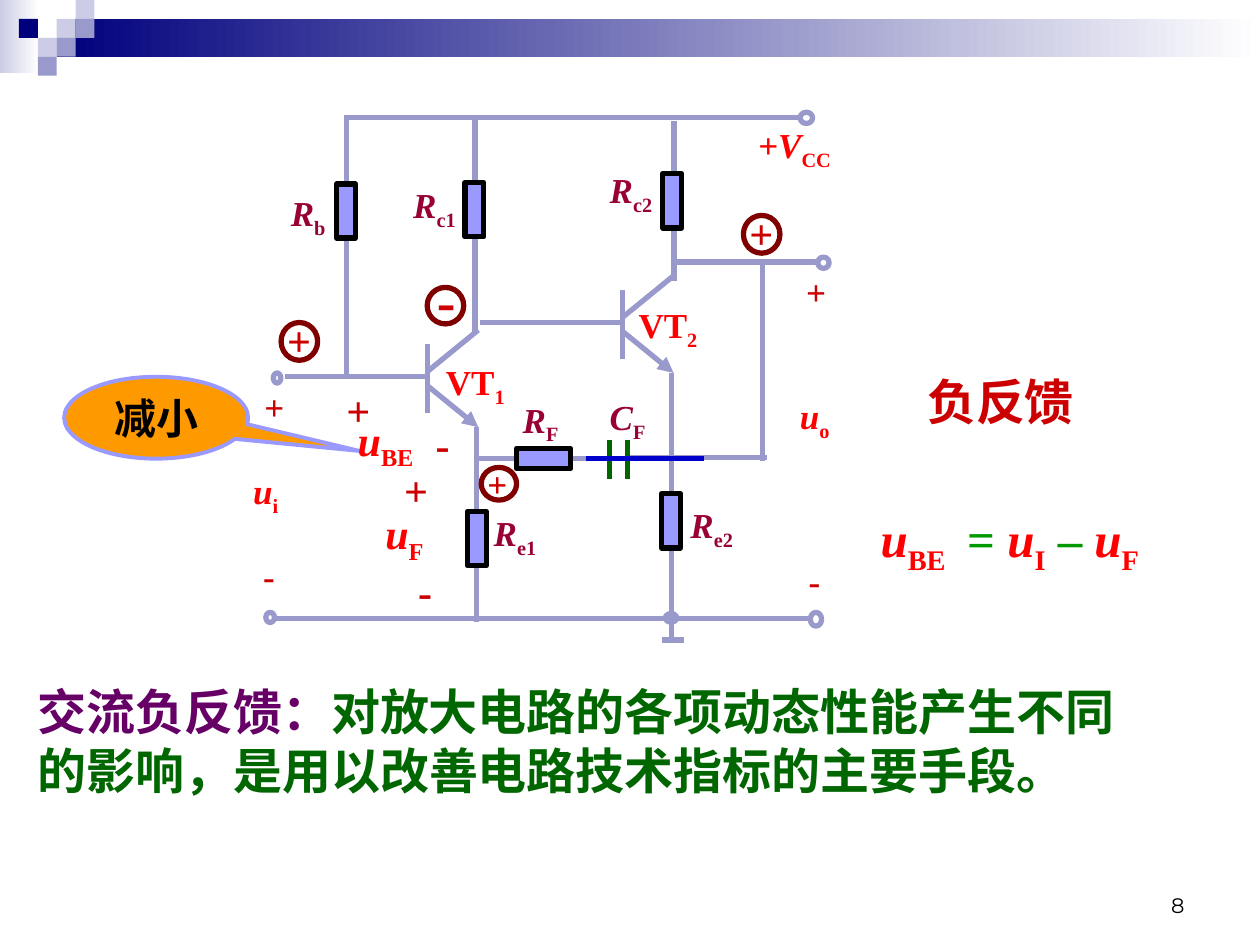
from dataclasses import dataclass
from typing import NamedTuple

from lxml import etree
from pptx import Presentation
from pptx.dml.color import RGBColor
from pptx.enum import shapes as kinds, text as texts
from pptx.oxml.ns import qn
from pptx.util import Pt


@dataclass(frozen=True)
class Theme:
    navy: str = "00007D"
    lavender: str = "CCCCE6"
    wire: str = "9999CC"
    violet: str = "9999FF"
    white: str = "FFFFFF"
    black: str = "000000"
    red: str = "FF0000"
    sign: str = "CC0000"
    ring: str = "800000"
    crimson: str = "990033"
    plate: str = "006600"
    equals: str = "009900"
    purple: str = "660066"
    orange: str = "FF9900"
    blue: str = "0000CC"
    font: str = "Times New Roman"
    number_font: str = "Montserrat"
    tiny: int = 12
    small: int = 20
    medium: int = 24
    large: int = 28
    huge: int = 32
    stroke: float = 3


THEME = Theme()


class Run(NamedTuple):
    text: str
    color: str
    italic: bool = False
    subscript: bool = False


class Box(NamedTuple):
    left: float
    top: float
    width: float
    height: float


class Wire(NamedTuple):
    x1: float
    y1: float
    x2: float
    y2: float
    color: str = THEME.wire
    arrow: bool = False


class Label(NamedTuple):
    left: float
    top: float
    width: float
    runs: list[Run]
    size: int = THEME.small
    lines: int = 1


def symbol(name: str, index: str, color: str = THEME.red, italic: bool = True) -> list[Run]:
    return [Run(name, color, italic), Run(index, color, subscript=True)]


def component(name: str, index: str) -> list[Run]:
    return symbol(name, index, THEME.crimson)


PLUS = [Run("+", THEME.sign)]
MINUS = [Run("-", THEME.sign)]

HEADER_BLOCKS = [  # column, row, colour
    (1, 1, THEME.lavender), (2, 0, THEME.lavender), (2, 1, THEME.wire),
    (0, 2, THEME.lavender), (-1, 1, THEME.navy), (1, 2, THEME.wire), (0, 3, THEME.wire),
]
WIRES = [
    Wire(383.8, 213.1, 383.8, 367.2), Wire(272.2, 244.1, 272.2, 355.7),
    Wire(347.8, 262.1, 271.4, 262.1), Wire(385.2, 160.6, 385.2, 69.1),
    Wire(271.4, 190.8, 271.4, 67), Wire(438.5, 261.4, 358.6, 261.4),
    Wire(435.6, 150.5, 435.6, 263.5), Wire(468.7, 149.8, 385.2, 149.8),
    Wire(157.7, 353.5, 463, 353.5), Wire(457.2, 67, 196.6, 67),
    Wire(198, 216, 198, 67), Wire(378, 365.8, 391, 365.8),
]
PLATES = [Wire(x, 251.3, x, 273.6, THEME.plate) for x in (348.5, 358.6)]
TRANSISTORS = [(244.1, 196.6), (355.7, 165.6)]
UPRIGHT_RESISTORS = [(367.9, 292.3), (255.6, 114.5), (368.6, 109.4), (257, 302.4), (182.2, 115.2)]
TERMINALS = [
    Box(463, 349.9, 6.5, 7.9), Box(457.2, 64.1, 7.2, 6.5), Box(467.3, 146.9, 6.5, 6.5),
    Box(156.2, 213.1, 4.3, 5.8), Box(151.9, 349.9, 5, 5.8),
]
RINGS = [
    Box(160.6, 184.3, 20.9, 21.6), Box(244.1, 164.2, 20.9, 20.9),
    Box(424.8, 123.1, 20.9, 21.6), Box(275, 267.1, 20.2, 18.7),
]
LABELS = [
    Label(247.7, 202.3, 51.1, symbol("VT", "1", italic=False)),
    Label(357.8, 169.9, 58.3, symbol("VT", "2", italic=False)),
    Label(341.3, 92.9, 46.1, component("R", "c2")),
    Label(229, 101.5, 44.6, component("R", "c1")),
    Label(387.4, 284.4, 44.6, component("R", "e2")),
    Label(275, 288.7, 42.5, component("R", "e1")),
    Label(291.6, 223.9, 41, component("R", "F")),
    Label(341.3, 222.5, 38.2, component("C", "F")),
    Label(159.1, 105.8, 40.3, component("R", "b")),
    Label(426.2, 67, 64.1, symbol("+V", "CC")),
    Label(450, 221.8, 37.4, symbol("u", "o")),
    Label(137.5, 265, 37.4, symbol("u", "i")),
    Label(453.6, 151.2, 29.5, PLUS),
    Label(455, 316.1, 28.1, MINUS),
    Label(144, 216.7, 25.9, PLUS),
    Label(143.3, 313.2, 19.4, MINUS),
    Label(223.9, 262.1, 49, PLUS, THEME.medium),
    Label(231.8, 319.7, 49, MINUS, THEME.medium),
    Label(213.1, 286.6, 67, symbol("u", "F"), THEME.medium),
    Label(190.8, 216, 36.7, PLUS, THEME.medium),
    Label(241.9, 235.4, 36.7, MINUS, THEME.medium),
    Label(197.3, 233.3, 63.4, symbol("u", "BE"), THEME.medium),
    Label(157, 176.4, 25.9, PLUS, THEME.medium),
    Label(242.6, 148.3, 23.8, MINUS, THEME.huge),
    Label(421.2, 115.2, 25.9, PLUS, THEME.medium),
    Label(271.4, 260.6, 25.2, PLUS),
    Label(522.7, 208.8, 108, [Run("负反馈", THEME.sign)], THEME.large),
    Label(14.4, 385.9, 632.2, [
        Run("交流负反馈：", THEME.purple),
        Run("对放大电路的各项动态性能产生不同的影响，是用以改善电路技术指标的主要手段。", THEME.plate),
    ], THEME.large, lines=2),
]
EQUATION = Label(496.1, 287.3, 180.7, [
    *symbol("u", "BE"), Run("\t= ", THEME.equals), *symbol("u", "I"),
    Run(" – ", THEME.equals), *symbol("u", "F"),
], THEME.large)


def add_shape(slide, kind, box: Box, fill=None, line=None, weight: float = THEME.stroke):
    shape = slide.shapes.add_shape(kind, *map(Pt, box))
    shape.shadow.inherit = False
    if fill:
        shape.fill.solid()
        shape.fill.fore_color.rgb = RGBColor.from_string(fill)
    else:
        shape.fill.background()
    if line:
        shape.line.color.rgb = RGBColor.from_string(line)
        shape.line.width = Pt(weight)
    else:
        shape.line.fill.background()
    return shape


def add_fade(slide, box: Box, color: str) -> None:
    """Add a bar that fades from the colour to white, left to right."""
    shape = add_shape(slide, kinds.MSO_SHAPE.RECTANGLE, box)
    shape.fill.gradient()
    shape.fill.gradient_angle = 0
    for stop, shade in zip(shape.fill.gradient_stops, (color, THEME.white)):
        stop.color.rgb = RGBColor.from_string(shade)


def add_wire(slide, wire: Wire) -> None:
    connector = slide.shapes.add_connector(kinds.MSO_CONNECTOR.STRAIGHT, *map(Pt, wire[:4]))
    connector.line.color.rgb = RGBColor.from_string(wire.color)
    connector.line.width = Pt(THEME.stroke)
    properties = connector._element.spPr
    if wire.arrow:
        etree.SubElement(properties.find(qn("a:ln")), qn("a:tailEnd"), type="triangle")
    etree.SubElement(properties, qn("a:effectLst"))


def add_transistor(slide, x: float, y: float) -> None:
    """Draw base bar, collector, emitter and base lead from the top of the bar."""
    for wire in (Wire(x, y, x, y + 39.6), Wire(x, y + 15.8, x + 29.2, y - 8),
                 Wire(x, y + 23.7, x + 29.2, y + 47.5, arrow=True),
                 Wire(x, y + 18.7, x - 81.4, y + 18.7)):
        add_wire(slide, wire)


def write(paragraph, runs: list[Run], size: int, font: str = THEME.font, bold: bool = True) -> None:
    for item in runs:
        run = paragraph.add_run()
        run.text = item.text
        style = {"name": font, "size": Pt(size), "bold": bold, "italic": item.italic}
        for name, value in style.items():
            setattr(run.font, name, value)
        run.font.color.rgb = RGBColor.from_string(item.color)
        if item.subscript:
            run._r.get_or_add_rPr().set("baseline", "-25000")


def add_label(slide, label: Label):
    drop = 0.15 * label.size if any(run.subscript for run in label.runs) else 0
    height = label.lines * 1.2 * label.size + 7.4 + drop
    box = slide.shapes.add_textbox(*map(Pt, (label.left, label.top, label.width, height)))
    box.text_frame.word_wrap = True
    box.text_frame.auto_size = texts.MSO_AUTO_SIZE.SHAPE_TO_FIT_TEXT
    write(box.text_frame.paragraphs[0], label.runs, label.size)
    return box


def add_header(slide) -> None:
    cell = 10.8
    add_fade(slide, Box(0, 0, 22.3, 41.8), THEME.lavender)
    add_fade(slide, Box(32.4, cell, 687.6, 21.6), THEME.navy)
    for column, row, color in HEADER_BLOCKS:
        box = Box(21.6 + column * cell, row * cell, cell, cell)
        add_shape(slide, kinds.MSO_SHAPE.RECTANGLE, box, color)


def add_circuit(slide) -> None:
    rectangle, ellipse = kinds.MSO_SHAPE.RECTANGLE, kinds.MSO_SHAPE.OVAL
    for wire in WIRES:
        add_wire(slide, wire)
    for x, y in TRANSISTORS:
        add_transistor(slide, x, y)
    add_shape(slide, rectangle, Box(295.2, 256.3, 31, 11.5), THEME.violet, THEME.black)
    for left, top in UPRIGHT_RESISTORS:
        resistor = add_shape(slide, rectangle, Box(left, top, 31, 10.8), THEME.violet, THEME.black)
        resistor.rotation = 90
    for plate in PLATES:
        add_wire(slide, plate)
    for terminal in TERMINALS:
        add_shape(slide, ellipse, terminal, line=THEME.wire)
    add_shape(slide, ellipse, Box(380.2, 350.6, 6.5, 5), THEME.wire, THEME.wire)
    for ring in RINGS:
        add_shape(slide, ellipse, ring, line=THEME.ring)


def add_callout(slide) -> None:
    callout = add_shape(slide, kinds.MSO_SHAPE.OVAL_CALLOUT, Box(36.7, 215.3, 105.1, 46.8),
                        THEME.orange, THEME.violet, 2.25)
    callout.adjustments[0], callout.adjustments[1] = 1.104, 0.405
    paragraph = callout.text_frame.paragraphs[0]
    paragraph.alignment = texts.PP_ALIGN.CENTER
    write(paragraph, [Run("减小", THEME.black)], THEME.medium)


def add_equation(slide) -> None:
    box = add_label(slide, EQUATION)
    properties = box.text_frame.paragraphs[0]._p.get_or_add_pPr()
    tabs = etree.SubElement(properties, qn("a:tabLst"))
    etree.SubElement(tabs, qn("a:tab"), pos=str(Pt(49.5)), algn="l")


def add_page_number(slide) -> None:
    box = slide.shapes.add_textbox(*map(Pt, (516.2, 491.8, 167.8, 36)))
    box.text_frame.word_wrap = True
    box.text_frame.vertical_anchor = texts.MSO_ANCHOR.BOTTOM
    paragraph = box.text_frame.paragraphs[0]
    paragraph.alignment = texts.PP_ALIGN.RIGHT
    write(paragraph, [Run("8", THEME.black)], THEME.tiny, THEME.number_font, bold=False)


def main() -> None:
    presentation = Presentation()
    presentation.slide_width, presentation.slide_height = Pt(720), Pt(540)
    slide = presentation.slides.add_slide(presentation.slide_layouts[6])
    add_header(slide)
    add_page_number(slide)
    add_circuit(slide)
    add_callout(slide)
    for label in LABELS:
        add_label(slide, label)
    add_wire(slide, Wire(334.8, 262.1, 402.5, 262.1, THEME.blue))
    add_equation(slide)
    presentation.save("out.pptx")


if __name__ == "__main__":
    main()
